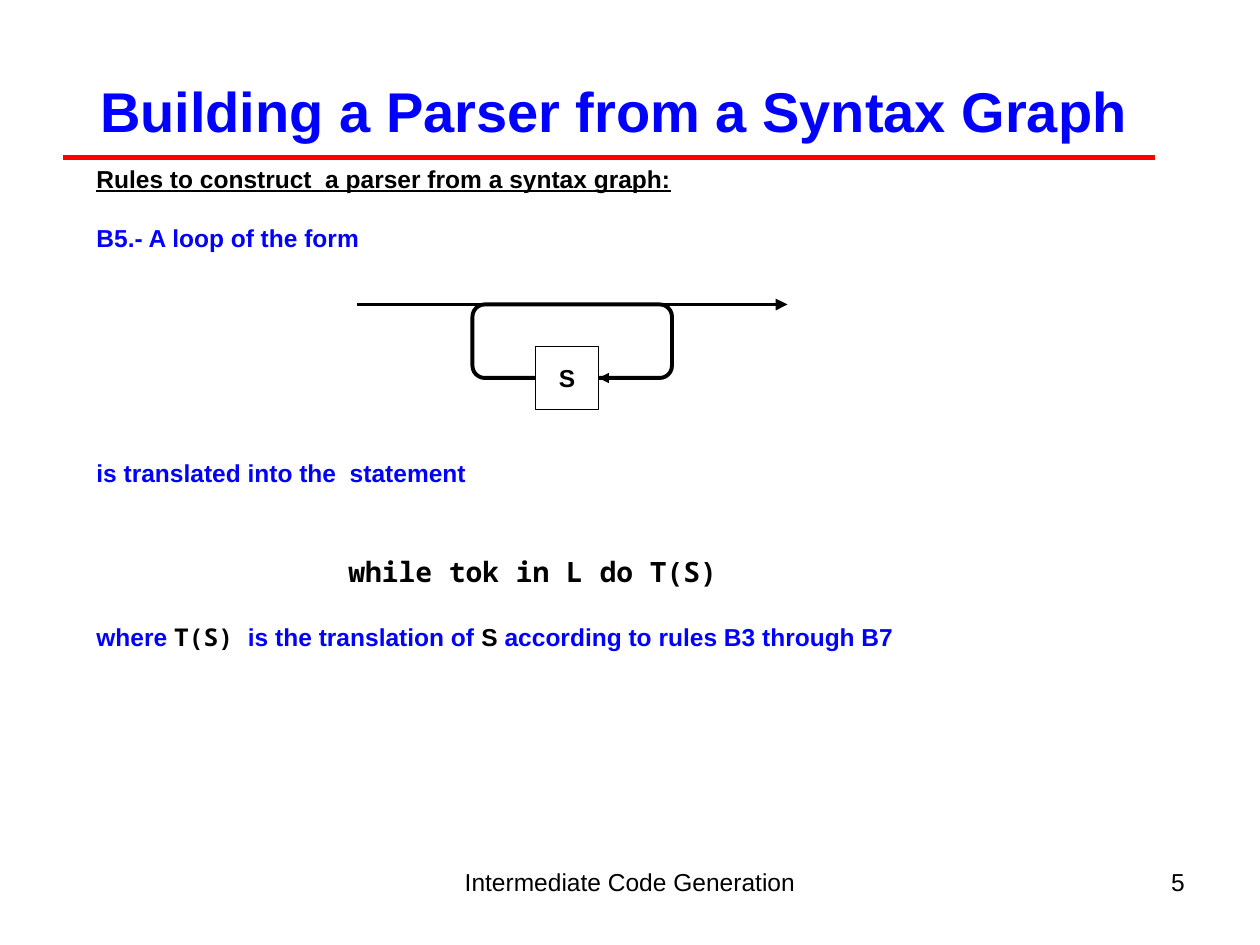
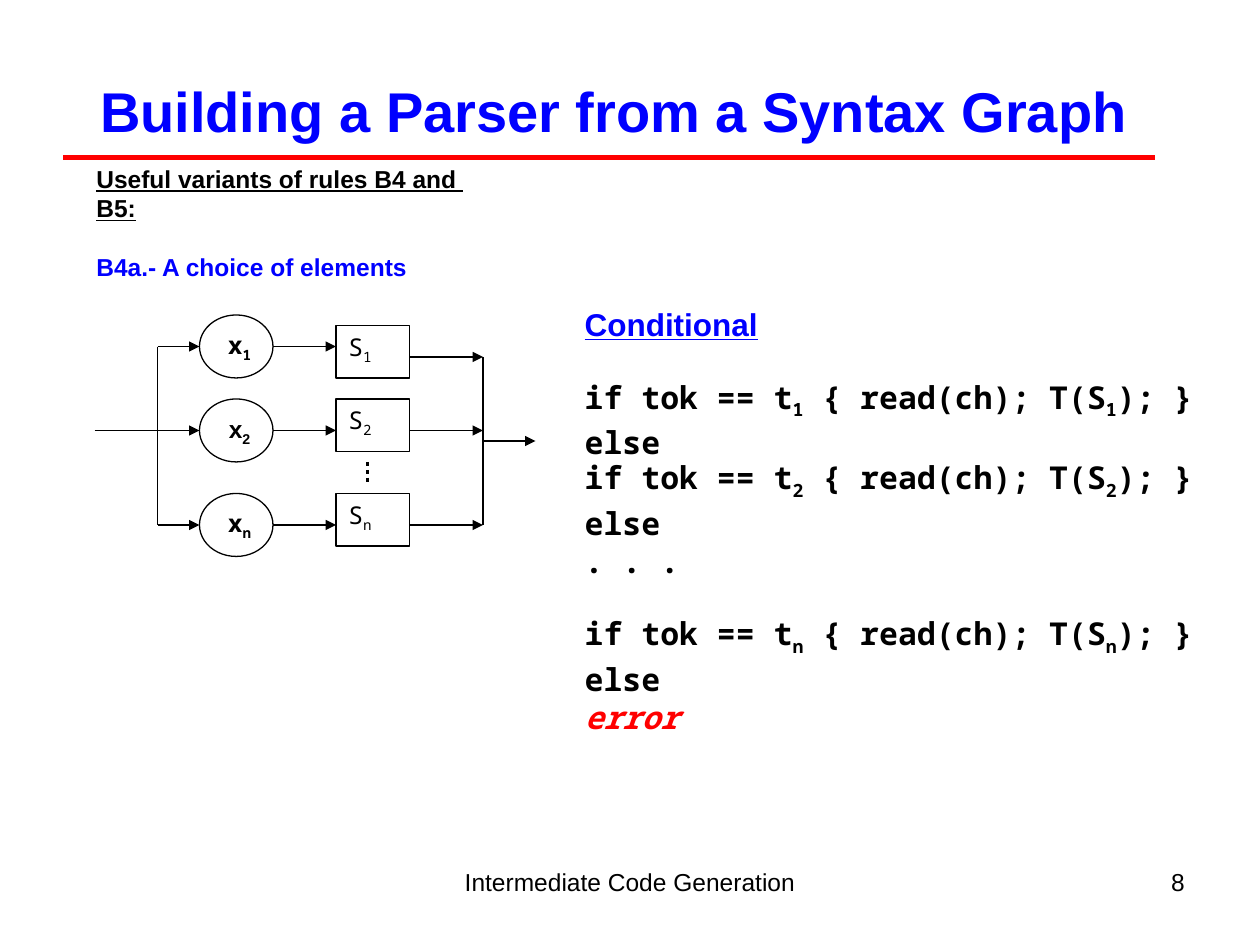
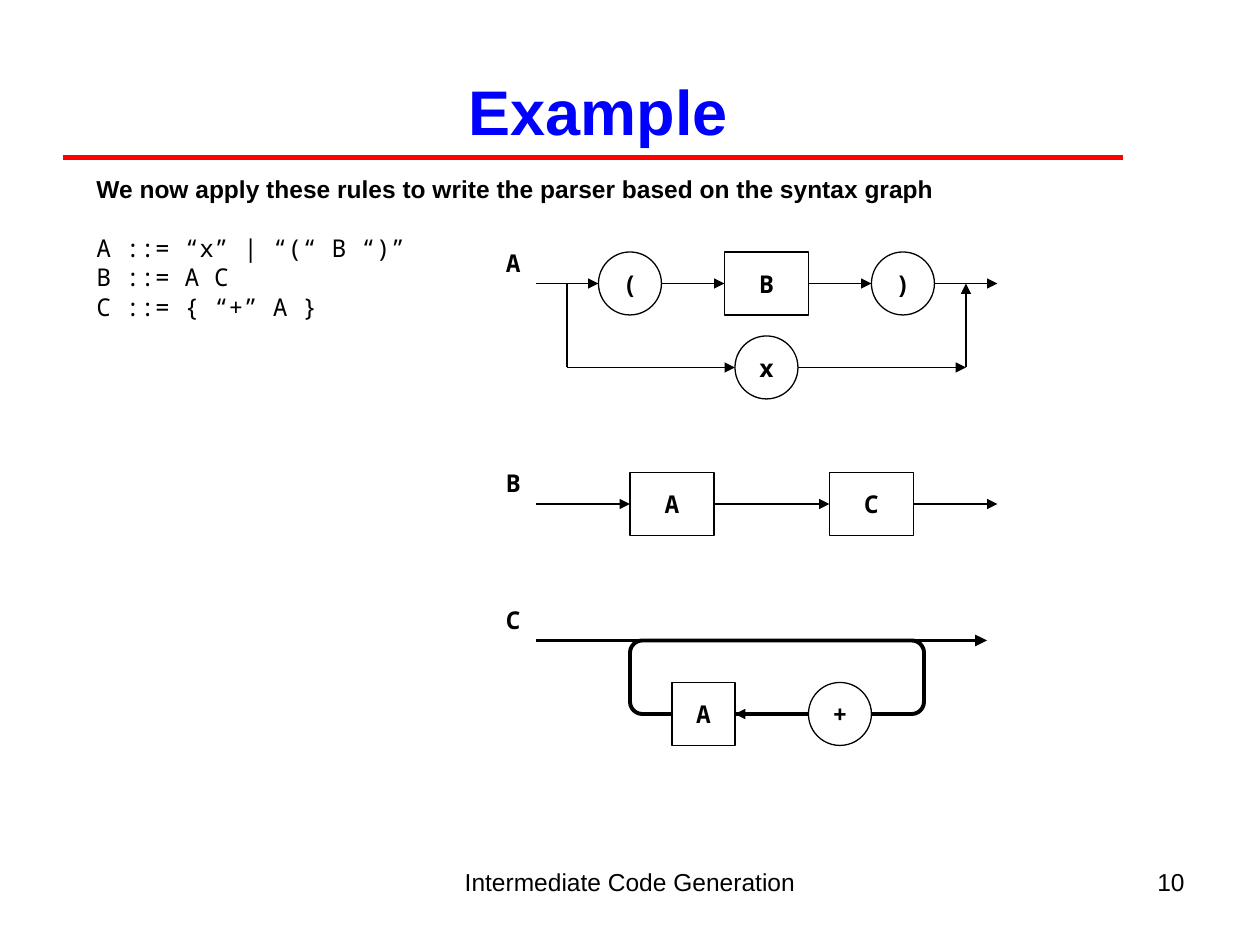
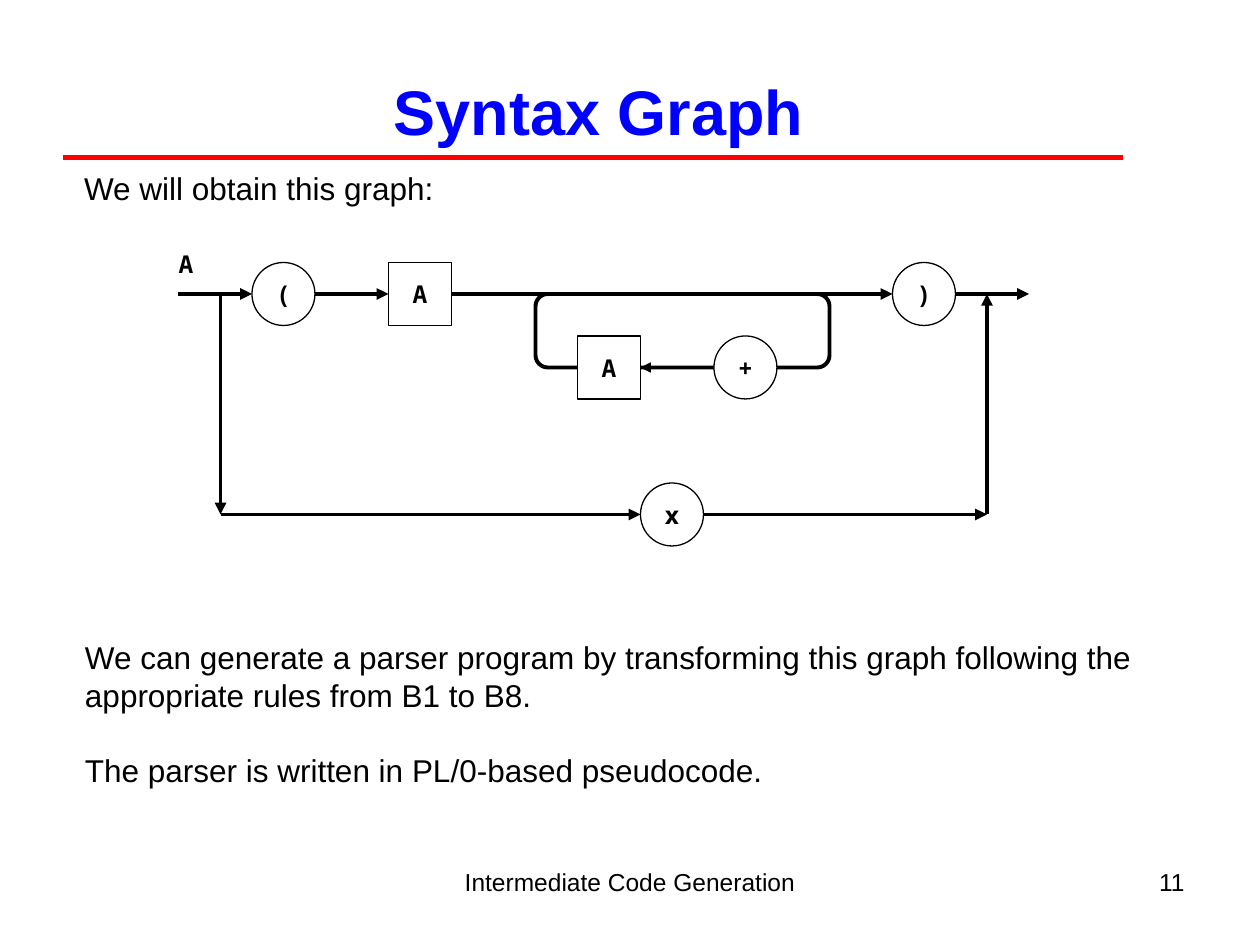
from dataclasses import dataclass

from lxml.etree import SubElement
from pptx import Presentation
from pptx.dml.color import RGBColor
from pptx.enum.dml import MSO_LINE
from pptx.enum.shapes import MSO_CONNECTOR, MSO_SHAPE
from pptx.enum.text import MSO_ANCHOR as Anchor, PP_ALIGN as Align
from pptx.oxml.ns import qn
from pptx.util import Pt


@dataclass(frozen=True)
class Theme:
    black = RGBColor(0, 0, 0)
    white = RGBColor(255, 255, 255)
    blue = RGBColor(0, 0, 255)
    red = RGBColor(255, 0, 0)
    sans: str = "Arial"
    mono: str = "Noto Sans Mono"
    small: int = 14
    code: int = 16
    large: int = 18
    thin: float = 0.75
    thick: float = 2.25
    rule: float = 3
    leading: float = 1.2


@dataclass
class Para:
    runs: list          # (text, style words) pairs
    gap: float = 0      # blank lines above
    size: int = 14
    indent: int = 0
    leading: float = Theme.leading


THEME = Theme()
FOOTER = "Intermediate Code Generation"
BOX, ROUND = MSO_SHAPE.RECTANGLE, MSO_SHAPE.OVAL

# Content: title, title size, title width, page number
LOOP_HEAD = ("Building a Parser from a Syntax Graph", 32, 666, "5")
CHOICE_HEAD = ("Building a Parser from a Syntax Graph", 32, 666, "8")
EXAMPLE_HEAD = ("Example", 36, 648, "10")
GRAPH_HEAD = ("Syntax Graph", 36, 648, "11")

LOOP_TEXT = [
    Para([("Rules to construct  a parser from a syntax graph:", "bold under")]),
    Para([("B5.- A loop of the form ", "bold blue")], gap=1),
    Para([("is translated into the  statement", "bold blue")], gap=7),
    Para([("while tok in L do T(S)", "bold mono")], gap=2, size=THEME.code,
         indent=144),
    Para([("where ", "bold blue"), ("T(S) ", "bold mono"),
          ("is the translation of", "bold blue"), (" S ", "bold"),
          ("according to rules B3 through B7", "bold blue")], gap=1.15),
]

CHOICE_TEXT = [
    Para([("Useful variants of rules B4 and  B5:", "bold under")]),
    Para([("B4a.- A choice of elements", "bold blue")], gap=1),
]
# index, symbol font, circle top, box top, height of the outgoing arrow
CHOICES = [("1", "mono", 180, 186, 204),
           ("2", "sans", 228, 228, 246),
           ("n", "mono", 282, 282, 300)]


def branch(index, ending, gap=0):
    """One branch of the conditional, with its subscripts."""
    code, sub = "bold mono", "bold mono sub"
    return Para([("if tok == t", code), (index, sub),
                 (" { read(ch); T(S", code), (index, sub), (ending, code)],
                gap, THEME.large, leading=1.28)


CONDITIONAL = [
    Para([("Conditional", "bold under blue")], size=THEME.large),
    branch("1", "); } else ", gap=1),
    branch("2", "); } else "),
    Para([(". . .", "bold mono")], size=THEME.large),
    branch("n", "); } else", gap=1),
    Para([("error", "bold mono italic red")], size=THEME.large),
]

GRAMMAR = [
    Para([("We now apply these rules to write the parser based on the "
           "syntax graph", "bold")]),
    Para([("A ::= “x” | “(“ B “)”", "mono")], gap=1),
    Para([("B ::= A C", "mono")]),
    Para([("C ::= { “+” A }", "mono")]),
]
RULE_LABELS = [("A", 282, 138), ("B", 282, 264), ("C", 282, 342)]
# kind, label, left, top, width
EXAMPLE_NODES = [
    (ROUND, "(", 342, 144, 36), (BOX, "B", 414, 144, 48),
    (ROUND, ")", 498, 144, 36), (ROUND, "x", 420, 192, 36),
    (BOX, "A", 360, 270, 48), (BOX, "C", 474, 270, 48),
]
# from x, y to x, y
EXAMPLE_ARROWS = [
    (306, 162, 342, 162), (378, 162, 414, 162), (462, 162, 498, 162),
    (534, 162, 570, 162), (324, 210, 420, 210), (456, 210, 552, 210),
    (552, 210, 552, 162),
    (306, 288, 360, 288), (408, 288, 474, 288), (522, 288, 570, 288),
]

GRAPH_INTRO = [Para([("We will obtain this graph:", "")], size=THEME.large)]
GRAPH_OUTRO = [
    Para([("We can generate a parser program by transforming this graph "
           "following the appropriate rules from B1 to B8. ", "")],
         size=THEME.large),
    Para([("The parser is written in PL/0-based pseudocode.", "")],
         gap=1, size=THEME.large),
]
GRAPH_NODES = [
    (BOX, "A", 222, 150, 36), (ROUND, ")", 510, 150, 36),
    (ROUND, "(", 144, 150, 36), (ROUND, "x", 366, 276, 36),
]
GRAPH_ARROWS = [
    (180, 168, 222, 168), (102, 168, 144, 168), (546, 168, 588, 168),
    (126, 294, 366, 294), (402, 294, 564, 294),
    (126, 168, 126, 294), (564, 294, 564, 168),
]
# label, kind, offset from the left of the loop
PLUS_LOOP = [("A", BOX, 24), ("+", ROUND, 102)]


# Text
def write_runs(paragraph, runs, size):
    for text, style in runs:
        words = style.split()
        run = paragraph.add_run()
        run.text = text
        font = run.font
        font.size = Pt(size)
        font.name = THEME.mono if "mono" in words else THEME.sans
        font.bold = "bold" in words
        font.italic = "italic" in words
        font.underline = "under" in words
        font.color.rgb = (THEME.blue if "blue" in words else
                          THEME.red if "red" in words else THEME.black)
        if "sub" in words:
            run._r.get_or_add_rPr().set("baseline", "-25000")


def add_label(slide, left, top, width, height, runs, align=Align.LEFT,
              wrap=False):
    frame = slide.shapes.add_textbox(
        Pt(left), Pt(top), Pt(width), Pt(height)).text_frame
    frame.word_wrap = wrap
    frame.paragraphs[0].alignment = align
    write_runs(frame.paragraphs[0], runs, THEME.small)


def add_body(slide, left, top, width, height, paras):
    frame = slide.shapes.add_textbox(
        Pt(left), Pt(top), Pt(width), Pt(height)).text_frame
    frame.word_wrap = True
    for number, para in enumerate(paras):
        line = frame.add_paragraph() if number else frame.paragraphs[0]
        line.line_spacing = Pt(para.size * para.leading)
        line.space_before = Pt(para.gap * para.size * THEME.leading)
        if para.indent:
            line._p.get_or_add_pPr().set("marL", str(Pt(para.indent)))
        write_runs(line, para.runs, para.size)


# Diagram parts
def add_line(slide, x1, y1, x2, y2, weight=THEME.thin, color=THEME.black,
             arrow=False, dash=None):
    line = slide.shapes.add_connector(
        MSO_CONNECTOR.STRAIGHT, Pt(x1), Pt(y1), Pt(x2), Pt(y2))
    line.line.width = Pt(weight)
    line.line.color.rgb = color
    if dash:
        line.line.dash_style = dash
    if arrow:
        SubElement(line.line._get_or_add_ln(), qn("a:tailEnd"),
                   type="triangle")
    SubElement(line._element.spPr, qn("a:effectLst"))


def add_outline(slide, kind, left, top, width, height, weight=THEME.thin,
                filled=False):
    shape = slide.shapes.add_shape(
        kind, Pt(left), Pt(top), Pt(width), Pt(height))
    shape.shadow.inherit = False
    shape.line.width = Pt(weight)
    shape.line.color.rgb = THEME.black
    if filled:
        shape.fill.solid()
        shape.fill.fore_color.rgb = THEME.white
    else:
        shape.fill.background()
    return shape


def add_node(slide, kind, left, top, width, height, runs, filled=False,
             align=Align.CENTER, anchor=Anchor.MIDDLE):
    frame = add_outline(slide, kind, left, top, width, height,
                        filled=filled).text_frame
    frame.word_wrap = False
    frame.vertical_anchor = anchor
    frame.paragraphs[0].alignment = align
    write_runs(frame.paragraphs[0], runs, THEME.small)


def add_loop(slide, start, end, left, top, width, nodes, style="bold mono"):
    """A main arrow with a rounded loop that runs back below it."""
    add_line(slide, start, top, end, top, THEME.thick, arrow=True)
    add_outline(slide, MSO_SHAPE.FLOWCHART_ALTERNATE_PROCESS,
                left, top, width, 42, THEME.thick)
    for label, kind, offset in nodes:
        add_node(slide, kind, left + offset, top + 24, 36, 36,
                 [(label, style)], filled=True)
    tip = left + nodes[0][2] + 36
    add_line(slide, tip + 18, top + 42, tip, top + 42, arrow=True)


def add_graph(slide, nodes, arrows, weight, filled):
    for kind, label, left, top, width in nodes:
        add_node(slide, kind, left, top, width, 36, [(label, "bold mono")],
                 filled)
    for ends in arrows:
        add_line(slide, *ends, weight, arrow=True)


# Shared frame of every slide
prs = Presentation()
prs.slide_width, prs.slide_height = Pt(720), Pt(540)


def new_slide(heading, size, width, page):
    slide = prs.slides.add_slide(prs.slide_layouts[5])
    title = slide.shapes.title
    title.left, title.top, title.width, title.height = (
        Pt(18), Pt(18), Pt(width), Pt(90))
    frame = title.text_frame
    frame.text = heading
    frame.vertical_anchor = Anchor.MIDDLE
    frame.paragraphs[0].alignment = Align.CENTER
    font = frame.paragraphs[0].runs[0].font
    font.name, font.size, font.bold = THEME.sans, Pt(size), True
    font.color.rgb = THEME.blue
    add_line(slide, 36, 90, width - 6, 90, THEME.rule, THEME.red)
    add_label(slide, 246, 492, 228, 37.5, [(FOOTER, "")], Align.CENTER, True)
    add_label(slide, 516, 492, 168, 37.5, [(page, "")], Align.RIGHT, True)
    return slide


# Rule for loops
loop_slide = new_slide(*LOOP_HEAD)
add_body(loop_slide, 48, 90, 472, 284, LOOP_TEXT)
add_loop(loop_slide, 204, 450, 270, 174, 114, [("S", BOX, 36)], "bold")

# Choice of elements
choice_slide = new_slide(*CHOICE_HEAD)
add_body(choice_slide, 48, 90, 249, 325, CHOICE_TEXT)
add_body(choice_slide, 327, 170.5, 397, 181, CONDITIONAL)
for index, font_word, circle_top, box_top, out_y in CHOICES:
    symbol = f"bold {font_word}"
    middle = circle_top + 18
    add_node(choice_slide, ROUND, 114, circle_top, 42, 36,
             [(" ", "bold"), ("x", symbol), (index, symbol + " sub")])
    add_node(choice_slide, BOX, 192, box_top, 42, 30,
             [("S", "mono"), (index, "mono sub")],
             align=Align.LEFT, anchor=Anchor.TOP)
    add_line(choice_slide, 90, middle, 114, middle, arrow=True)
    add_line(choice_slide, 156, middle, 192, middle, arrow=True)
    add_line(choice_slide, 234, out_y, 276, out_y, arrow=True)
add_line(choice_slide, 54, 246, 90, 246)
add_line(choice_slide, 90, 198, 90, 300)
add_line(choice_slide, 276, 204, 276, 300)
add_line(choice_slide, 276, 252, 306, 252, arrow=True)
add_line(choice_slide, 210, 264, 210, 276, THEME.thick,
         dash=MSO_LINE.ROUND_DOT)

# Example grammar and its three graphs
example_slide = new_slide(*EXAMPLE_HEAD)
add_body(example_slide, 48, 96, 498, 92, GRAMMAR)
add_graph(example_slide, EXAMPLE_NODES, EXAMPLE_ARROWS, THEME.thin, False)
add_line(example_slide, 324, 210, 324, 162)
add_loop(example_slide, 306, 564, 360, 366, 168, PLUS_LOOP)
for name, left, top in RULE_LABELS:
    add_label(example_slide, left, top, 22.5, 24.5, [(name, "bold mono")])

# Combined graph
graph_slide = new_slide(*GRAPH_HEAD)
add_loop(graph_slide, 252, 510, 306, 168, 168, PLUS_LOOP)
add_graph(graph_slide, GRAPH_NODES, GRAPH_ARROWS, THEME.thick, True)
add_body(graph_slide, 41, 93, 218, 29, GRAPH_INTRO)
add_body(graph_slide, 41.5, 361, 636.5, 94, GRAPH_OUTRO)
add_label(graph_slide, 95, 139, 22.5, 24.5, [("A", "bold mono")])

prs.save("out.pptx")
